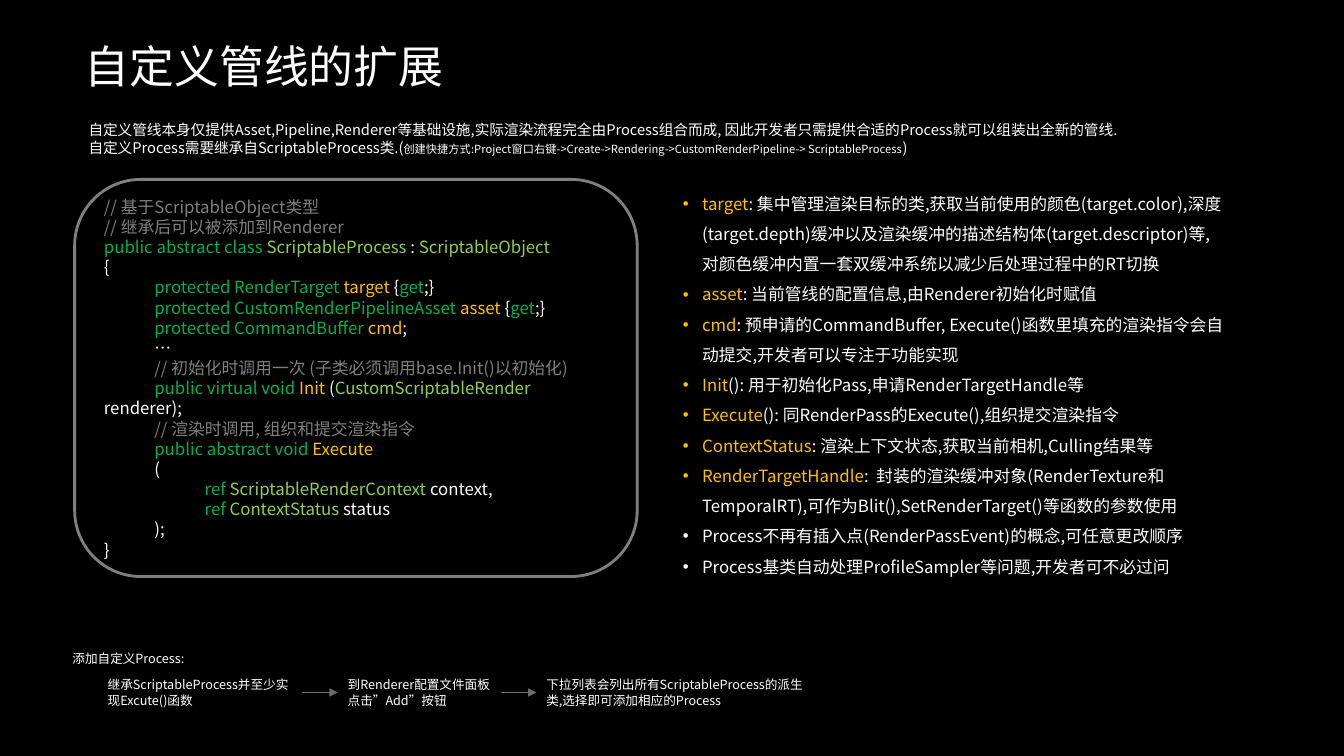
import pptx
import pptx.util
import pptx.dml.color
import pptx.enum.shapes
import pptx.enum.text
import pptx.oxml
import pptx.oxml.ns

RGB = pptx.dml.color.RGBColor
BLACK = RGB(0, 0, 0)
WHITE = RGB(0xFF, 0xFF, 0xFF)
GREY = RGB(0x80, 0x80, 0x80)
ARROW_GREY = RGB(0x6F, 0x6F, 0x6F)
GREEN = RGB(0x00, 0xB0, 0x50)
LIME = RGB(0x92, 0xD0, 0x50)
AMBER = RGB(0xFF, 0xC0, 0x00)
FONT = "Noto Sans CJK SC"

# A paragraph is a list of runs: (text, colour) or (text, colour, size).
TITLE = [[("自定义管线的扩展", WHITE)]]
INTRO = [
    [("自定义管线本身仅提供Asset,Pipeline,Renderer等基础设施,实际渲染流程完全由Process组合而成, "
      "因此开发者只需提供合适的Process就可以组装出全新的管线.", WHITE)],
    [("自定义Process需要继承自ScriptableProcess类.(", WHITE),
     ("创建快捷方式:Project窗口右键->Create->Rendering->CustomRenderPipeline-> ScriptableProcess", WHITE, 8),
     (")", WHITE)],
]
CODE = [
    [("// 基于ScriptableObject类型", GREY)],
    [("// 继承后可以被添加到Renderer", GREY)],
    [("public abstract class ", GREEN), ("ScriptableProcess ", LIME), (": ", WHITE), ("ScriptableObject", LIME)],
    [("{", WHITE)],
    [("\tprotected RenderTarget ", GREEN), ("target", AMBER), (" {", WHITE), ("get", GREEN), (";}", WHITE)],
    [("\tprotected CustomRenderPipelineAsset ", GREEN), ("asset ", AMBER), ("{", WHITE), ("get", GREEN),
     (";}", WHITE)],
    [("\tprotected CommandBuffer ", GREEN), ("cmd", AMBER), (";", WHITE)],
    [("\t…", WHITE)],
    [("\t// 初始化时调用一次 (子类必须调用base.Init()以初始化)", GREY)],
    [("\tpublic virtual void ", GREEN), ("Init ", AMBER), ("(", WHITE), ("CustomScriptableRender", LIME),
     (" renderer);", WHITE)],
    [("\t// 渲染时调用, 组织和提交渲染指令", GREY)],
    [("\tpublic abstract void ", GREEN), ("Execute", AMBER)],
    [("\t(", WHITE)],
    [("\t\tref ", GREEN), ("ScriptableRenderContext ", LIME), ("context,", WHITE)],
    [("\t\tref ", GREEN), ("ContextStatus ", LIME), ("status", WHITE)],
    [("\t);", WHITE)],
    [("}", WHITE)],
]
MEMBERS = [
    [("target", AMBER),
     (": 集中管理渲染目标的类,获取当前使用的颜色(target.color),深度(target.depth)缓冲以及渲染缓冲的描述结构体"
      "(target.descriptor)等,对颜色缓冲内置一套双缓冲系统以减少后处理过程中的RT切换", WHITE)],
    [("asset", AMBER), (": 当前管线的配置信息,由Renderer初始化时赋值", WHITE)],
    [("cmd", AMBER),
     (": 预申请的CommandBuffer, Execute()函数里填充的渲染指令会自动提交,开发者可以专注于功能实现", WHITE)],
    [("Init", AMBER), ("(): 用于初始化Pass,申请RenderTargetHandle等", WHITE)],
    [("Execute", AMBER), ("(): 同RenderPass的Execute(),组织提交渲染指令", WHITE)],
    [("ContextStatus", AMBER), (": 渲染上下文状态,获取当前相机,Culling结果等", WHITE)],
    [("RenderTargetHandle", AMBER),
     (":  封装的渲染缓冲对象(RenderTexture和TemporalRT),可作为Blit(),SetRenderTarget()等函数的参数使用", WHITE)],
    [("Process不再有插入点(RenderPassEvent)的概念,可任意更改顺序", WHITE)],
    [("Process基类自动处理ProfileSampler等问题,开发者可不必过问", WHITE)],
]
STEPS_LABEL = [[("添加自定义Process:", WHITE)]]
STEPS = [  # text, width
    ("继承ScriptableProcess并至少实现Excute()函数", 2.03),
    ("到Renderer配置文件面板点击”Add”按钮", 1.62),
    ("下拉列表会列出所有ScriptableProcess的派生类,选择即可添加相应的Process", 2.83),
]

WIDTH, HEIGHT = 13.33, 7.5
MARGIN = 0.74
COLUMN = 5.58
STEP_LEFT, STEP_TOP, STEP_HEIGHT, STEP_GAP = 0.97, 6.67, 0.4, 0.35
TAB = 0.5
HANGING = 0.19


def inches(*lengths):
    return [pptx.util.Inches(length) for length in lengths]


def add_xml(parent, tag, **attributes):
    child = pptx.oxml.ns.qn(tag)
    element = parent.makeelement(child, attributes)
    parent.append(element)
    return element


def write(shape, paragraphs, size, spacing=None, bullet=False, tabs=0,
          anchor=pptx.enum.text.MSO_ANCHOR.TOP):
    frame = shape.text_frame
    frame.word_wrap = True
    frame.auto_size = pptx.enum.text.MSO_AUTO_SIZE.NONE
    frame.vertical_anchor = anchor
    for index, runs in enumerate(paragraphs):
        paragraph = frame.add_paragraph() if index else frame.paragraphs[0]
        paragraph.alignment = pptx.enum.text.PP_ALIGN.LEFT
        if spacing:
            paragraph.line_spacing = spacing
        properties = paragraph._p.get_or_add_pPr()
        if bullet:
            indent = pptx.util.Inches(HANGING)
            properties.set("marL", str(indent))
            properties.set("indent", str(-indent))
            add_xml(properties, "a:buFont", typeface="Arial")
            add_xml(properties, "a:buChar", char="•")
        if tabs:
            stops = add_xml(properties, "a:tabLst")
            for stop in range(1, tabs + 1):
                add_xml(stops, "a:tab", pos=str(pptx.util.Inches(stop * TAB)), algn="l")
        for text, colour, *own_size in runs:
            run = paragraph.add_run()
            run.text = text
            run.font.size = pptx.util.Pt(own_size[0] if own_size else size)
            run.font.name = FONT
            run.font.color.rgb = colour
            add_xml(run._r.get_or_add_rPr(), "a:ea", typeface=FONT)


def add_text(slide, box, paragraphs, size, **text_format):
    write(slide.shapes.add_textbox(*inches(*box)), paragraphs, size, **text_format)


def add_title(slide):
    title = slide.shapes.title
    title.left, title.top, title.width, title.height = inches(MARGIN, 0.33, 5.29, 0.64)
    write(title, TITLE, 32)


def add_code_panel(slide):
    panel = slide.shapes.add_shape(pptx.enum.shapes.MSO_SHAPE.ROUNDED_RECTANGLE,
                                   *inches(MARGIN, 1.78, COLUMN, 3.94))
    panel.shadow.inherit = False
    panel.fill.solid()
    panel.fill.fore_color.rgb = BLACK
    panel.line.color.rgb = GREY
    panel.line.width = pptx.util.Pt(2)
    write(panel, CODE, 12, tabs=2, anchor=pptx.enum.text.MSO_ANCHOR.MIDDLE)


def add_arrow(slide, start, end, y):
    arrow = slide.shapes.add_connector(pptx.enum.shapes.MSO_CONNECTOR.STRAIGHT,
                                       *inches(start, y, end, y))
    arrow.line.color.rgb = ARROW_GREY
    arrow.line.width = pptx.util.Pt(0.75)
    add_xml(arrow.line._get_or_add_ln(), "a:tailEnd", type="triangle")
    add_xml(arrow._element.spPr, "a:effectLst")


def add_steps(slide):
    add_text(slide, (0.62, 6.41, 2.38, 0.25), STEPS_LABEL, 9)
    left = STEP_LEFT
    for index, (step, width) in enumerate(STEPS):
        if index:
            add_arrow(slide, left - STEP_GAP, left, STEP_TOP + STEP_HEIGHT / 2)
        add_text(slide, (left, STEP_TOP, width, STEP_HEIGHT), [[(step, WHITE)]], 9)
        left += width + STEP_GAP


def main():
    presentation = pptx.Presentation()
    presentation.slide_width, presentation.slide_height = inches(WIDTH, HEIGHT)
    slide = presentation.slides.add_slide(presentation.slide_layouts.get_by_name("Title Only"))
    slide.background.fill.solid()
    slide.background.fill.fore_color.rgb = BLACK
    add_title(slide)
    add_text(slide, (0.78, 1.15, 11.78, 0.45), INTRO, 10.5)
    add_code_panel(slide)
    add_text(slide, (WIDTH / 2 + 0.01, 1.77, COLUMN, 4), MEMBERS, 12, spacing=1.5, bullet=True)
    add_steps(slide)
    presentation.save("out.pptx")


if __name__ == "__main__":
    main()
